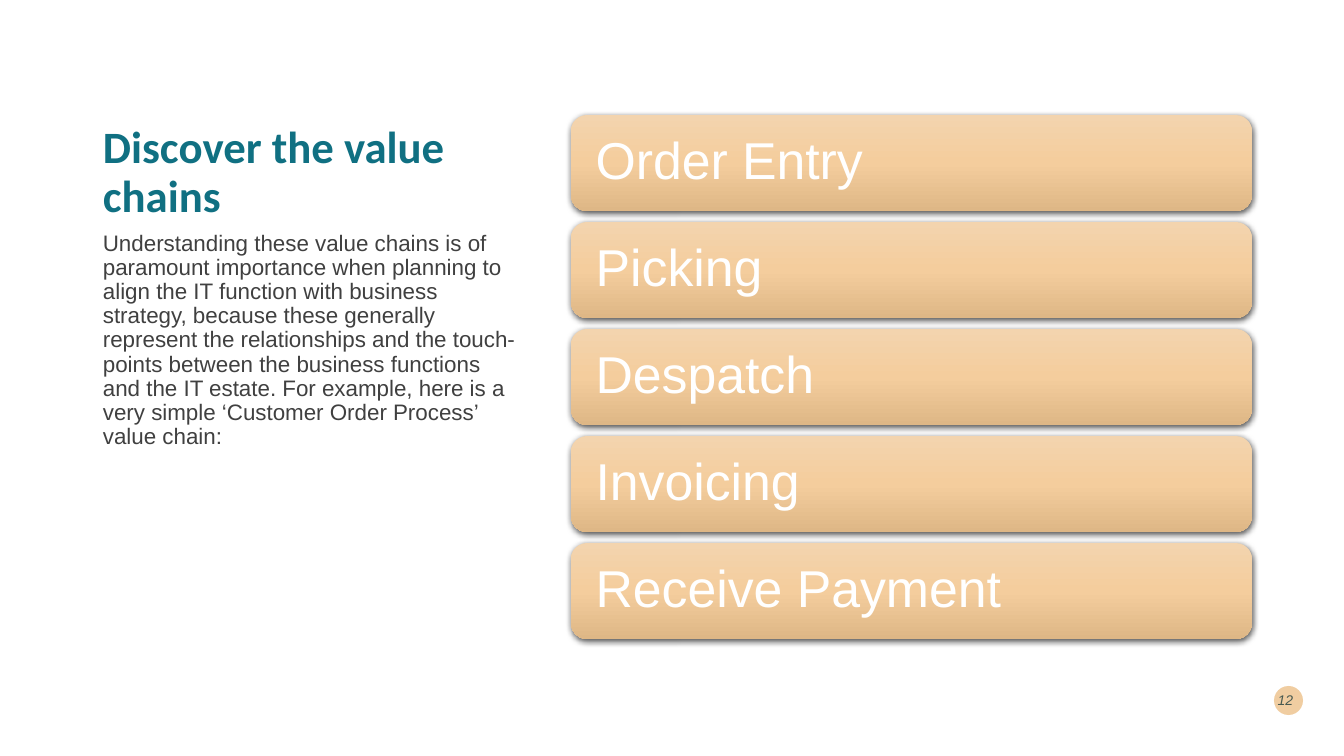
"""Build the value chain slide: heading and explanation beside five process steps."""
from lxml import etree
from pptx import Presentation
from pptx.dml.color import RGBColor
from pptx.enum.shapes import MSO_SHAPE
from pptx.enum.text import MSO_ANCHOR, PP_ALIGN
from pptx.oxml import parse_xml
from pptx.oxml.ns import nsdecls, qn
from pptx.util import Pt

ROUNDED, OVAL = MSO_SHAPE.ROUNDED_RECTANGLE, MSO_SHAPE.OVAL
TOP, MIDDLE, BOTTOM = MSO_ANCHOR.TOP, MSO_ANCHOR.MIDDLE, MSO_ANCHOR.BOTTOM
LEFT, RIGHT = PP_ALIGN.LEFT, PP_ALIGN.RIGHT

HEADING = "Discover the value chains"
EXPLANATION = (
    "Understanding these value chains is of paramount importance when planning to "
    "align the IT function with business strategy, because these generally represent "
    "the relationships and the touch-points between the business functions and the "
    "IT estate. For example, here is a very simple ‘Customer Order Process’ value chain:"
)
STEPS = ["Order Entry", "Picking", "Despatch", "Invoicing", "Receive Payment"]
PAGE_NUMBER = "12"

COLORS = {
    "heading": "107082", "body": "404040", "step_text": "FFFFFF",
    "number": "00292E", "badge": "F0CDA1", "shadow": "000000",
}
STEP_GRADIENT = [(0, "F3D4AE"), (50, "F4CD9D"), (100, "DEB786")]

EMU_PER_PX = 914400 / 100.8
SLIDE_SIZE = (1344, 756)
HEADING_BOX = (93, 50, 433, 177)
EXPLANATION_BOX = (93, 227, 433, 420)
BADGE_BOX = (1274, 686, 29, 29)
NUMBER_BOX = (1264, 680, 39, 40)
STEP_LEFT, STEP_TOP, STEP_WIDTH, STEP_HEIGHT = 571, 115, 681, 96
STEP_PITCH = 107
STEP_INSET = 20


def px(*lengths):
    return [round(length * EMU_PER_PX) for length in lengths]


def write(shape, text, size, color, font="Arial", anchor=TOP, align=LEFT, spacing=0.9):
    frame = shape.text_frame
    frame.text = text
    frame.word_wrap = True
    frame.vertical_anchor = anchor
    paragraph = frame.paragraphs[0]
    paragraph.alignment = align
    paragraph.line_spacing = spacing
    run = paragraph.runs[0]
    run.font.name = font
    run.font.size = Pt(size)
    run.font.color.rgb = RGBColor.from_string(COLORS[color])
    return run


def add_step(slide, index, label):
    top = STEP_TOP + index * STEP_PITCH
    step = slide.shapes.add_shape(ROUNDED, *px(STEP_LEFT, top, STEP_WIDTH, STEP_HEIGHT))
    step.line.fill.background()
    stops = "".join(
        f'<a:gs pos="{position * 1000}"><a:srgbClr val="{color}"/></a:gs>'
        for position, color in STEP_GRADIENT
    )
    properties = step.element.spPr
    properties.find(qn("a:prstGeom")).addnext(parse_xml(
        f'<a:gradFill {nsdecls("a")} rotWithShape="1"><a:gsLst>{stops}</a:gsLst>'
        '<a:lin ang="5400000" scaled="0"/></a:gradFill>'
    ))
    properties.append(parse_xml(
        f'<a:effectLst {nsdecls("a")}>'
        f'<a:outerShdw blurRad="{Pt(4.5)}" dist="{Pt(1.5)}" dir="5400000" '
        f'algn="ctr" rotWithShape="0"><a:srgbClr val="{COLORS["shadow"]}">'
        '<a:alpha val="63000"/></a:srgbClr></a:outerShdw></a:effectLst>'
    ))
    write(step, label, 37, "step_text", anchor=MIDDLE)
    frame = step.text_frame
    frame.margin_left, frame.margin_right = px(STEP_INSET, STEP_INSET)


def main():
    deck = Presentation()
    deck.slide_width, deck.slide_height = px(*SLIDE_SIZE)
    slide = deck.slides.add_slide(deck.slide_layouts[6])
    shapes = slide.shapes

    badge = shapes.add_shape(OVAL, *px(*BADGE_BOX))
    badge.shadow.inherit = False
    badge.fill.solid()
    badge.fill.fore_color.rgb = RGBColor.from_string(COLORS["badge"])
    badge.line.fill.background()

    heading = shapes.add_textbox(*px(*HEADING_BOX))
    write(heading, HEADING, 32, "heading", "Calibri", BOTTOM).font.bold = True

    explanation = shapes.add_textbox(*px(*EXPLANATION_BOX))
    write(explanation, EXPLANATION, 16, "body")

    number = shapes.add_textbox(*px(*NUMBER_BOX))
    digits = write(number, PAGE_NUMBER, 10, "number", anchor=MIDDLE, align=RIGHT, spacing=1.0)
    digits.font.italic = True
    number.text_frame.paragraphs[0].space_after = Pt(6)
    number_color = digits.font.fill.fore_color
    number_color.rgb = RGBColor.from_string(COLORS["number"])
    color_element = next(number.element.iter(qn("a:srgbClr")))
    etree.SubElement(color_element, qn("a:alpha"), val="70000")

    for index, label in enumerate(STEPS):
        add_step(slide, index, label)

    deck.save("out.pptx")


if __name__ == "__main__":
    main()
